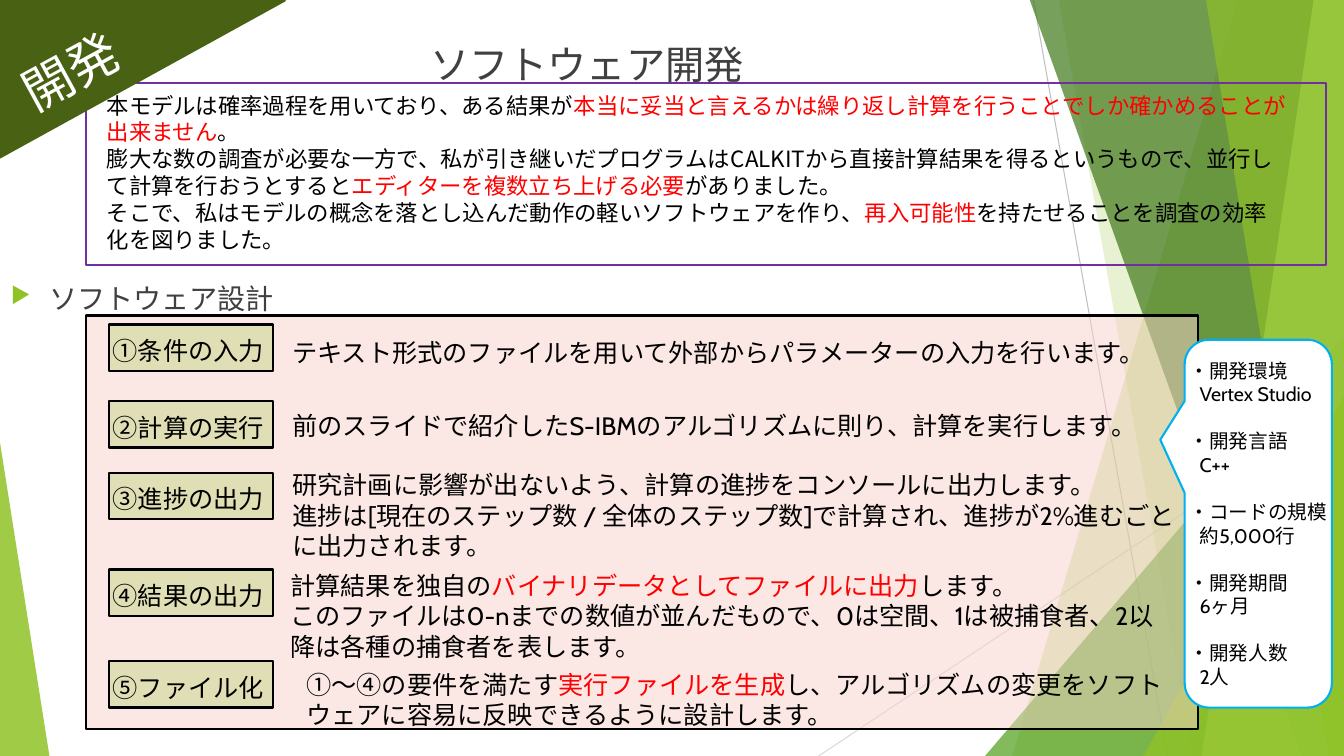
from dataclasses import dataclass

from lxml.etree import SubElement
from pptx import Presentation
from pptx.dml.color import RGBColor
from pptx.enum.shapes import MSO_CONNECTOR, MSO_SHAPE as Shape
from pptx.oxml.ns import qn
from pptx.util import Inches, Pt


@dataclass(frozen=True)
class Theme:
    ink: str = "000000"
    heading: str = "404040"
    accent: str = "FF0000"
    white: str = "FFFFFF"
    green: str = "90C226"
    mid_green: str = "54A021"
    deep_green: str = "3F7819"
    pale_green: str = "C0E474"
    corner: str = "486113"
    purple: str = "7030A0"
    pink: str = "F8D2CC"
    blue: str = "00B0F0"
    gray: str = "BFBFBF"
    pale_gray: str = "D9D9D9"
    body_font: str = "Cabin"
    heading_font: str = "Noto Sans CJK JP"
    corner_font: str = "Arial"
    title_size: float = 28
    corner_size: float = 36
    heading_size: float = 20.1
    step_size: float = 18
    intro_size: float = 16
    note_size: float = 14
    outline: float = 1.5
    hairline: float = 0.75


class SlideBuilder:
    def __init__(self, page, theme):
        self.page = page
        self.theme = theme

    def line(self, start, end, color):
        ends = [Inches(value) for value in (*start, *end)]
        line = self.page.shapes.add_connector(MSO_CONNECTOR.STRAIGHT, *ends)
        line.line.color.rgb = RGBColor.from_string(color)
        line.line.width = Pt(self.theme.hairline)
        SubElement(line._element.spPr, qn("a:effectLst"))

    def paint(self, shape, fill=None, alpha=100, line=None):
        shape.shadow.inherit = False
        if fill:
            shape.fill.solid()
            shape.fill.fore_color.rgb = RGBColor.from_string(fill)
            if alpha < 100:
                color = shape.fill._xPr.find(qn("a:solidFill"))[0]
                SubElement(color, qn("a:alpha"), val=str(alpha * 1000))
        else:
            shape.fill.background()
        if line:
            shape.line.color.rgb = RGBColor.from_string(line)
            shape.line.width = Pt(self.theme.outline)
        else:
            shape.line.fill.background()

    def polygon(self, points, fill, alpha):
        corners = [(Inches(x), Inches(y)) for x, y in points]
        pen = self.page.shapes.build_freeform(*corners[0])
        pen.add_line_segments(corners[1:], close=True)
        self.paint(pen.convert_to_shape(), fill, alpha)

    def shape(self, kind, at, adjust=(), rotation=0, **style):
        shape = self.page.shapes.add_shape(kind, *map(Inches, at))
        for index, value in enumerate(adjust):
            shape.adjustments[index] = value
        shape.rotation = rotation
        self.paint(shape, **style)

    def text(self, at, lines, size, font=None, color=None, wrap=True, rotation=0):
        """Each line is one paragraph; text between bars takes the accent colour."""
        box = self.page.shapes.add_textbox(*map(Inches, at))
        box.rotation = rotation
        frame = box.text_frame
        frame.word_wrap = wrap
        for index, line in enumerate(lines):
            para = frame.add_paragraph() if index else frame.paragraphs[0]
            para.font.size = Pt(size)
            para.font.name = font or self.theme.body_font
            para.font.color.rgb = RGBColor.from_string(color or self.theme.ink)
            for part, words in enumerate(line.split("|")):
                span = para.add_run()
                span.text = words
                if part % 2:
                    span.font.color.rgb = RGBColor.from_string(self.theme.accent)
        return frame.paragraphs

    def bullet(self, para, mark, color, percent, indent):
        props = para._p.get_or_add_pPr()
        props.set("marL", str(Inches(indent)))
        props.set("indent", str(-Inches(indent)))
        tint = SubElement(props, qn("a:buClr"))
        SubElement(tint, qn("a:srgbClr"), val=color)
        SubElement(props, qn("a:buSzPct"), val=str(percent * 1000))
        SubElement(props, qn("a:buChar"), char=mark)
        # Character defaults come after the bullet elements
        props.append(props.find(qn("a:defRPr")))

    def tighten_first(self, para, points):
        """Draw the second character closer to the first."""
        words = para.text
        para.clear()
        first, rest = para.add_run(), para.add_run()
        first.text, rest.text = words[0], words[1:]
        first._r.get_or_add_rPr().set("spc", str(-points * 100))


WIDTH, HEIGHT, TOP = 13.33, 7.5, -0.01

INTRO = [
    "本モデルは確率過程を用いており、ある結果が|本当に妥当と言えるかは繰り返し計算を行うことでしか確かめることが出来ません|。",
    "膨大な数の調査が必要な一方で、私が引き継いだプログラムはCALKITから直接計算結果を得るというもので、"
    "並行して計算を行おうとすると|エディターを複数立ち上げる必要|がありました。",
    "そこで、私はモデルの概念を落とし込んだ動作の軽いソフトウェアを作り、|再入可能性|を持たせることを調査の効率化を図りました。",
]

# Label, label box top, description place, description
STEPS = [
    ("①条件の入力", 3.22, (2.8, 3.3, 8.9, 0.4),
     ["テキスト形式のファイルを用いて外部からパラメーターの入力を行います。"]),
    ("②計算の実行", 3.98, (2.8, 4.02, 8.78, 0.4),
     ["前のスライドで紹介したS-IBMのアルゴリズムに則り、計算を実行します。"]),
    ("③進捗の出力", 4.69, (2.8, 4.61, 8.99, 1.01),
     ["研究計画に影響が出ないよう、計算の進捗をコンソールに出力します。",
      "進捗は[現在のステップ数 / 全体のステップ数]で計算され、進捗が2%進むごとに出力されます。"]),
    ("④結果の出力", 5.65, (2.78, 5.61, 8.99, 1.01),
     ["計算結果を独自の|バイナリデータとしてファイルに出力|します。",
      "このファイルは0-nまでの数値が並んだもので、0は空間、1は被捕食者、2以降は各種の捕食者を表します。"]),
    ("⑤ファイル化", 6.56, (2.94, 6.59, 8.97, 0.71),
     ["①～④の要件を満たす|実行ファイルを生成|し、アルゴリズムの変更をソフトウェアに容易に反映できるように設計します。"]),
]

FACTS = [
    ("・開発環境", "Vertex Studio"),
    ("・開発言語", "C++"),
    ("・コードの規模", "約5,000行"),
    ("・開発期間", "6ヶ月"),
    ("・開発人数", "2人"),
]


def draw_background(build, theme):
    build.line((10.25, 0), (11.58, HEIGHT), theme.gray)
    build.line((WIDTH, 4.03), (8.12, HEIGHT), theme.pale_gray)

    def band(top_left, bottom_left, fill, alpha):
        build.polygon([(top_left, TOP), (WIDTH, TOP), (WIDTH, HEIGHT),
                       (bottom_left, HEIGHT)], fill, alpha)

    def wedge(at, point, fill, alpha):
        build.shape(Shape.ISOSCELES_TRIANGLE, at, [point], fill=fill, alpha=alpha)

    band(12.28, 10.04, theme.green, 30)
    band(10.5, 11.83, theme.green, 20)
    wedge((9.77, 3.33, 3.56, 4.17), 1, theme.mid_green, 72)
    band(10.21, 12.91, theme.deep_green, 70)
    band(13.03, 11.92, theme.pale_green, 70)
    band(11.96, 13.18, theme.green, 65)
    wedge((11.34, 3.93, 1.99, 3.57), 1, theme.green, 80)
    wedge((0, 4.39, 0.49, 3.11), 0, theme.green, 85)


def main():
    deck = Presentation()
    deck.slide_width, deck.slide_height = Inches(WIDTH), Inches(HEIGHT)
    theme = Theme()
    build = SlideBuilder(deck.slides.add_slide(deck.slide_layouts[6]), theme)
    draw_background(build, theme)

    # Introduction
    build.shape(Shape.RECTANGLE, (0.85, 0.82, 12.3, 1.81), line=theme.purple)
    build.text((0.96, 0.86, 11.92, 1.72), INTRO, theme.intro_size, theme.heading_font)

    # Corner flag
    build.shape(Shape.ISOSCELES_TRIANGLE, (0.63, -0.63, 1.56, 2.83), [0], 90,
                fill=theme.corner, line=theme.corner)
    build.text((0.1, 0.34, 1.23, 0.71), ["開発"], theme.corner_size,
               theme.corner_font, theme.white, rotation=331.4)

    # Title and section heading
    title = build.text((4.17, 0.12, 3.49, 0.76), ["ソフトウェア開発"],
                       theme.title_size, theme.heading_font, theme.heading)[0]
    title.line_spacing = 1.5
    heading = build.text((0.01, 2.64, 3.01, 0.7), ["ソフトウェア設計"],
                         theme.heading_size, theme.heading_font, theme.heading)[0]
    heading.line_spacing = 1.3
    build.bullet(heading, "▶", theme.green, 80, 0.38)

    # Design steps
    build.shape(Shape.RECTANGLE, (0.85, 3.13, 11.03, 4.1),
                fill=theme.pink, alpha=50, line=theme.ink)
    for label, top, place, description in STEPS:
        build.shape(Shape.RECTANGLE, (1.08, top, 1.63, 0.46),
                    fill=theme.green, alpha=25, line=theme.ink)
        build.text((1.02, top + 0.06, 1.72, 0.4), [label], theme.step_size, wrap=False)
        build.text(place, description, theme.step_size)

    # Project facts callout
    build.shape(Shape.ROUNDED_RECTANGULAR_CALLOUT, (11.75, 3.37, 1.46, 3.65),
                [-0.666, -0.228, 0.167], fill=theme.white, line=theme.blue)
    facts = build.text((11.7, 3.51, 1.63, 3.4),
                       [line for fact in FACTS for line in fact], theme.note_size)
    for name in facts[::2]:
        build.tighten_first(name, 5)
    for name in facts[2::2]:
        name.space_before = Pt(16.8)
    for value in facts[1::2]:
        value._p.get_or_add_pPr().set("marL", str(Inches(0.1)))

    deck.save("out.pptx")


if __name__ == "__main__":
    main()
